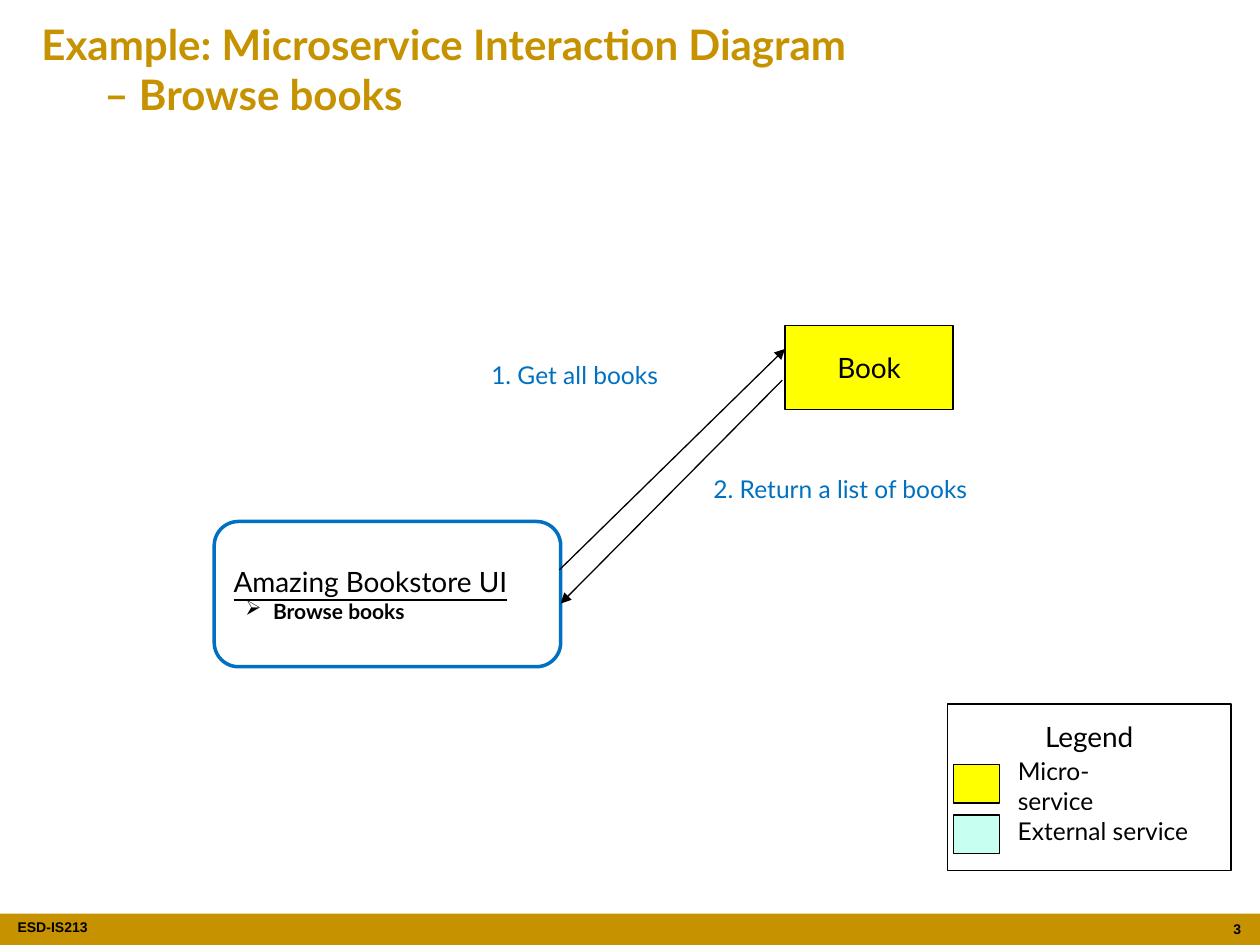
import pptx
import pptx.util
import pptx.dml.color
import pptx.enum.shapes
import pptx.enum.text
from dataclasses import dataclass
from lxml import etree

Pt = pptx.util.Pt
Kind = pptx.enum.shapes.MSO_SHAPE
Align = pptx.enum.text.PP_ALIGN
Anchor = pptx.enum.text.MSO_ANCHOR


@dataclass(frozen=True)
class Theme:
    gold: str = "C69200"
    blue: str = "0070C0"
    black: str = "000000"
    white: str = "FFFFFF"
    yellow: str = "FFFF00"
    mint: str = "C7FFF0"
    body: str = "Lato"
    foot: str = "Arial"
    title: int = 24
    name: int = 16
    label: int = 14
    item: int = 12
    small: int = 8


theme = Theme()
rgb = pptx.dml.color.RGBColor.from_string
deck = pptx.Presentation()
deck.slide_width, deck.slide_height = Pt(720), Pt(540)
slide = deck.slides.add_slide(deck.slide_layouts[6])
shapes = slide.shapes


def add_box(kind, left, top, width, height, fill=None, line=None, weight=0.75):
    """Add a preset shape, or a text box when kind is None; return it."""
    area = [Pt(n) for n in (left, top, width, height)]
    if kind is None:
        box = shapes.add_textbox(*area)
    else:
        box = shapes.add_shape(kind, *area)
        box.shadow.inherit = False
        if fill:
            box.fill.solid()
            box.fill.fore_color.rgb = rgb(fill)
        else:
            box.fill.background()
        if line:
            box.line.color.rgb = rgb(line)
            box.line.width = Pt(weight)
        else:
            box.line.fill.background()
        box.text_frame.vertical_anchor = Anchor.MIDDLE
    box.text_frame.word_wrap = True
    return box


def add_run(para, text, size, color=theme.black, face=theme.body, bold=False, align=Align.LEFT):
    para.alignment = align
    run = para.add_run()
    run.text = text
    run.font.size, run.font.name, run.font.bold = Pt(size), face, bold
    run.font.color.rgb = rgb(color)
    return run


# Footer
add_box(Kind.RECTANGLE, 0, 522, 720, 18, theme.gold)
course = add_box(None, 10, 521.3, 93, 18)
course.text_frame.margin_left = course.text_frame.margin_right = 0
add_run(course.text_frame.paragraphs[0], "ESD-IS213", theme.small, face=theme.foot, bold=True)
page = add_box(None, 688.3, 522.7, 28, 17)
add_run(page.text_frame.paragraphs[0], "3", theme.small, face=theme.foot, bold=True, align=Align.RIGHT)

# Title
title = add_box(None, 16.6, 6.5, 687, 65.5)
title.text_frame.vertical_anchor = Anchor.MIDDLE
para = title.text_frame.paragraphs[0]
add_run(para, "Example: Microservice Interaction Diagram", theme.title, theme.gold, bold=True)
para.add_line_break()
add_run(para, "\t– Browse books", theme.title, theme.gold, bold=True)

# User interface
screen = add_box(Kind.FLOWCHART_ALTERNATE_PROCESS, 122.4, 298, 198, 83, line=theme.blue, weight=2)
para = screen.text_frame.paragraphs[0]
add_run(para, "Amazing Bookstore UI", theme.name).font.underline = True
para = screen.text_frame.add_paragraph()
add_run(para, "Browse books", theme.item, bold=True)
props = para._p.get_or_add_pPr()
props.set("marL", str(Pt(22.5)))
props.set("indent", str(Pt(-16)))
bullet = etree.SubElement(props, pptx.oxml.ns.qn("a:buChar"))
bullet.set("char", "➢")

# Book service
book = add_box(Kind.RECTANGLE, 448.6, 186, 96, 48, theme.yellow, theme.black)
add_run(book.text_frame.paragraphs[0], "Book", theme.name, align=Align.CENTER)

# Calls: label, its left and top, then the arrow from start to tip
calls = [
    ("1. Get all books", 243.4, 202.3, (319.7, 325.6, 448.6, 199.4)),
    ("2. Return a list of books", 395.3, 267.6, (447, 217.3, 320.4, 344.9)),
]
for text, left, top, ends in calls:
    arrow = shapes.add_connector(pptx.enum.shapes.MSO_CONNECTOR.STRAIGHT, *[Pt(n) for n in ends])
    arrow.line.color.rgb = rgb(theme.black)
    arrow.line.width = Pt(0.75)
    tip = etree.SubElement(arrow.line._get_or_add_ln(), pptx.oxml.ns.qn("a:tailEnd"))
    tip.set("type", "triangle")
    etree.SubElement(arrow._element.spPr, pptx.oxml.ns.qn("a:effectLst"))
    label = add_box(None, left, top, 170, 24.5)
    add_run(label.text_frame.paragraphs[0], text, theme.label, theme.blue, align=Align.CENTER)

# Legend
legend = add_box(Kind.RECTANGLE, 541.4, 402.3, 162, 95, theme.white, theme.black)
legend.text_frame.vertical_anchor = Anchor.TOP
legend.text_frame.margin_top = Pt(9)
add_run(legend.text_frame.paragraphs[0], "Legend", theme.name, align=Align.CENTER)
keys = [
    ("Micro-service", theme.yellow, 437, 97.2, 24),
    ("External service", theme.mint, 465.8, 119, 23),
]
for text, color, top, width, height in keys:
    add_box(Kind.RECTANGLE, 545, top, 26, 22, color, theme.black)
    label = add_box(Kind.RECTANGLE, 574.5, top if color == theme.yellow else 463, width, height,
                    theme.white, theme.white)
    add_run(label.text_frame.paragraphs[0], text, theme.label)

deck.save("out.pptx")
